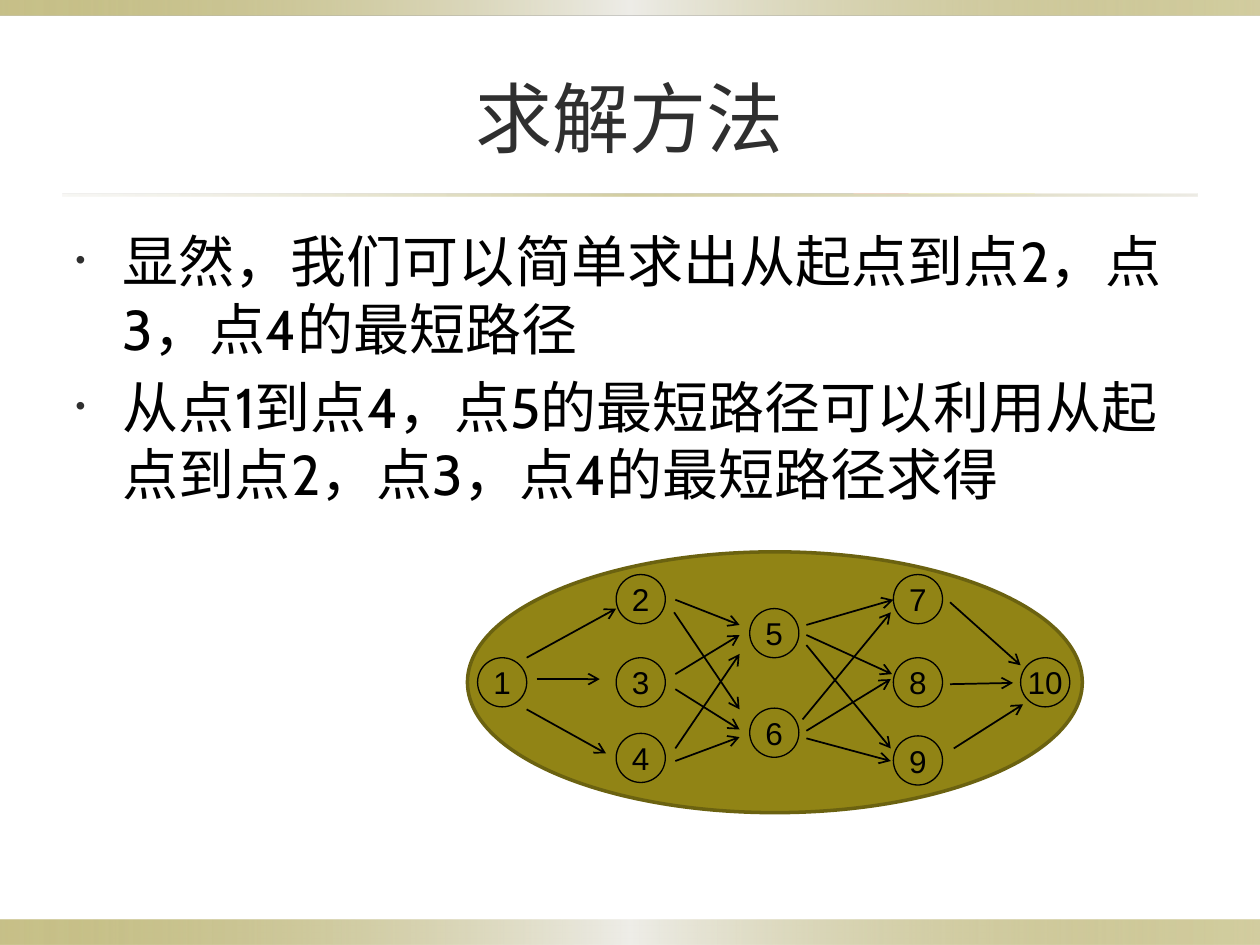
from pptx import Presentation, util as u
from pptx.dml.color import RGBColor
from pptx.enum import shapes, text
from pptx.oxml import parse_xml
from pptx.oxml.ns import nsdecls
from lxml import etree

NS = nsdecls("a")


def paint(part, tone):
    if hasattr(part, "solid"):
        part.solid()
        part.fore_color.rgb = RGBColor.from_string(tone)
    else:
        part.color.rgb = RGBColor.from_string(tone)


def shape(home, kind, left, top, wide, high):
    item = home.add_shape(kind, *map(u.Inches, (left, top, wide, high)))
    item.shadow.inherit = False
    return item


deck = Presentation()
deck.slide_width, deck.slide_height = u.Inches(10), u.Inches(7.5)
slide = deck.slides.add_slide(deck.slide_layouts[1])
title, body = slide.placeholders
kinds = shapes.MSO_SHAPE

olive, pale = "918415", "DCD9CC"
band = [(0, olive, 50), (50, "EEEDE8", 100), (100, olive, 40)]
rule = [(0, pale, 20), (50, olive, 40), (100, pale, 50)]
bars = [(0, 7.3, 10, 0.2, band), (0, 0, 10, 0.12, band), (0.5, 1.54, 9, 0.02, rule)]
for left, top, wide, high, stops in bars:
    bar = shape(slide.shapes, kinds.RECTANGLE, left, top, wide, high)
    bar.line.fill.background()
    bar.fill.gradient()
    bar.fill.gradient_angle = 0
    row = bar.fill._fill._gradFill.gsLst
    for old in list(row):
        row.remove(old)
    for pos, tone, alpha in stops:
        row.append(parse_xml(
            f'<a:gs {NS} pos="{pos * 1000}"><a:srgbClr val="{tone}">'
            f'<a:alpha val="{alpha * 1000}"/></a:srgbClr></a:gs>'))

title.left, title.top, title.width, title.height = map(u.Inches, (0.5, 0.3, 9, 1.25))
title.text_frame.text = "求解方法"
head = title.text_frame.paragraphs[0]
head.alignment = text.PP_ALIGN.CENTER
head.font.size, head.font.name = u.Pt(44), "Cabin"
paint(head.font, "2F2F2F")

body.left, body.top, body.width, body.height = map(u.Inches, (0.5, 1.75, 9, 5.13))
body.text_frame.text = (
    "显然，我们可以简单求出从起点到点2，点3，点4的最短路径\n"
    "从点1到点4，点5的最短路径可以利用从起点到点2，点3，点4的最短路径求得")
for para in body.text_frame.paragraphs:
    para.font.size, para.font.name = u.Pt(32), "Cabin"
    paint(para.font, "000000")
    props = para._p.get_or_add_pPr()
    marks = ['buClr {}><a:srgbClr val="2F2F2F"/></a:buClr>',
             'buSzPct {} val="50000"/>', 'buChar {} char="•"/>']
    for spot, mark in enumerate(marks):
        props.insert(spot, parse_xml("<a:" + mark.format(NS)))

graph = slide.shapes.add_group_shape().shapes
oval = shape(graph, kinds.FLOWCHART_CONNECTOR, 3.71, 4.38, 4.88, 2.07)
paint(oval.fill, olive)
paint(oval.line, "6B6210")
oval.line.width = u.Pt(2)

ranks = [(3.79, [5.22]), (4.89, [4.56, 5.22, 5.82]), (5.95, [4.83, 5.62]),
         (7.09, [4.56, 5.22, 5.84]), (8.1, [5.22])]
nodes = [(left, top) for left, tops in ranks for top in tops]
for num, (left, top) in enumerate(nodes, 1):
    node = shape(graph, kinds.OVAL, left, top, 0.39, 0.39)
    paint(node.fill, olive)
    paint(node.line, "000000")
    node.line.width = u.Pt(0.75)
    frame = node.text_frame
    frame.text, frame.word_wrap = str(num), False
    frame.vertical_anchor = text.MSO_ANCHOR.MIDDLE
    para = frame.paragraphs[0]
    para.alignment = text.PP_ALIGN.CENTER
    para.font.size, para.font.name = u.Pt(18), "Arial"
    paint(para.font, "000000")

edges = [
    (4.18, 5.22, 4.89, 4.83), (4.26, 5.39, 4.76, 5.39), (4.18, 5.63, 4.81, 5.98),
    (5.36, 4.76, 5.87, 4.96), (5.35, 4.86, 5.87, 5.63), (5.36, 5.35, 5.87, 5.04),
    (5.36, 5.47, 5.87, 5.79), (5.36, 5.94, 5.87, 5.19), (5.36, 6.04, 5.87, 5.85),
    (6.4, 4.96, 7.09, 4.76), (6.4, 5.04, 7.08, 5.35), (6.4, 5.12, 7.07, 5.94),
    (6.37, 5.71, 7.07, 4.86), (6.4, 5.8, 7.07, 5.39), (6.4, 5.86, 7.07, 6.04),
    (7.54, 4.78, 8.1, 5.28), (7.54, 5.43, 8.04, 5.42), (7.57, 5.94, 8.12, 5.59)]
for ends in edges:
    edge = graph.add_connector(shapes.MSO_CONNECTOR.STRAIGHT, *map(u.Inches, ends))
    paint(edge.line, "000000")
    edge.line.width = u.Pt(1)
    edge.line._ln.append(parse_xml(f'<a:tailEnd {NS} type="arrow"/>'))
    etree.SubElement(edge._element.spPr, edge.line._ln.tag.replace("}ln", "}effectLst"))

deck.save("out.pptx")
